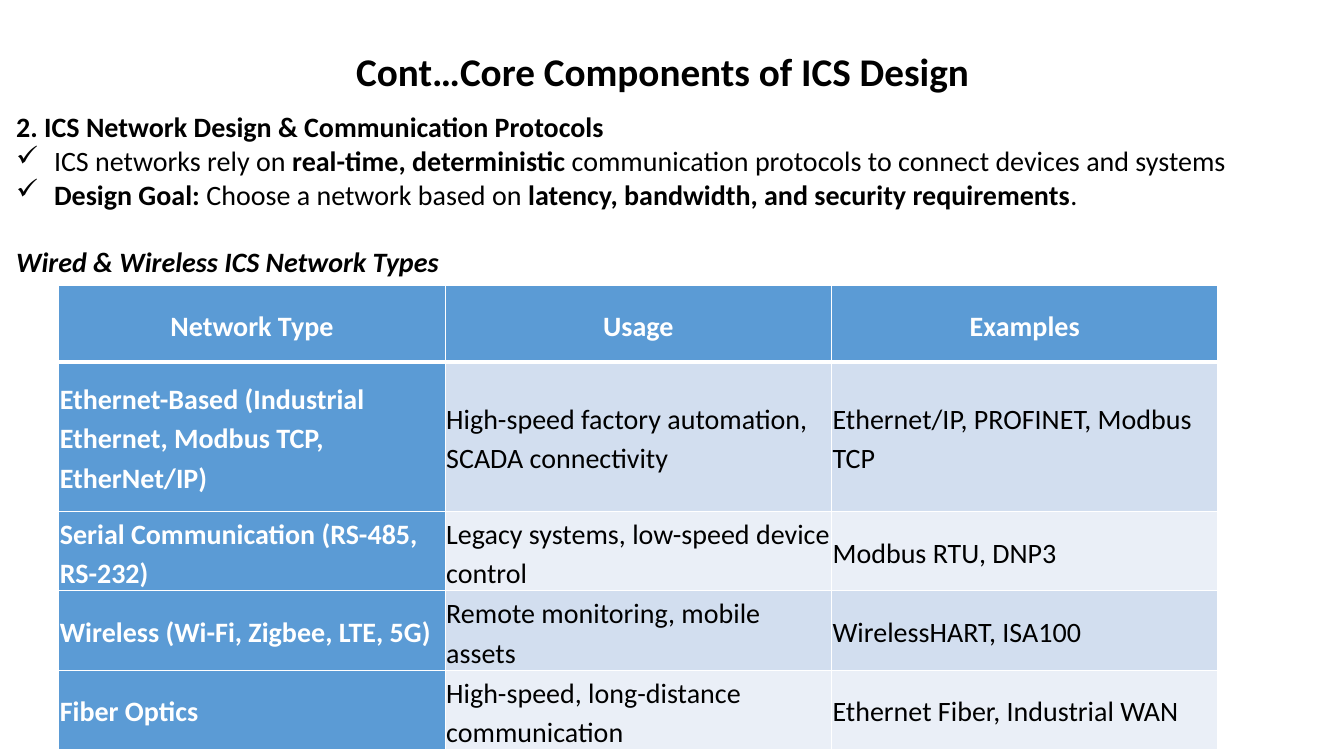
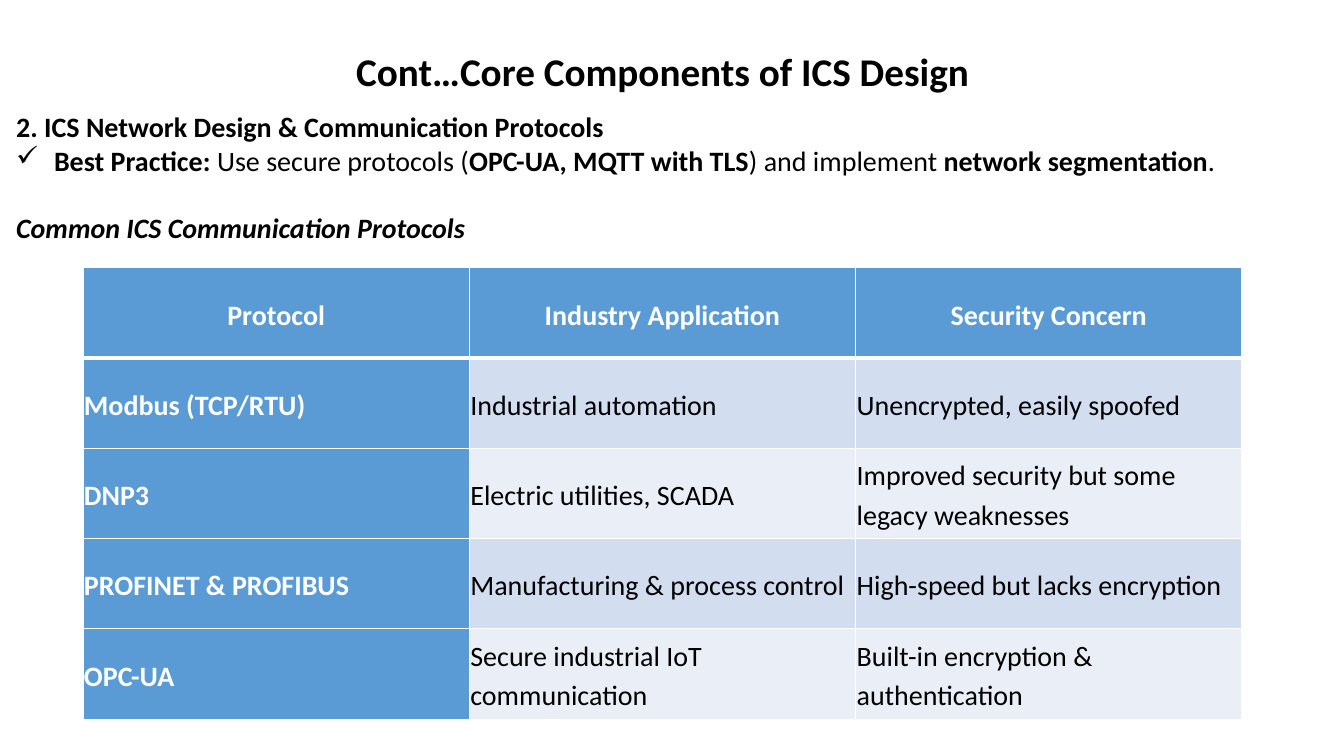
from dataclasses import dataclass
from typing import NamedTuple

from lxml.etree import SubElement
from pptx import Presentation
from pptx.dml.color import RGBColor
from pptx.enum.text import MSO_ANCHOR as Anchor
from pptx.enum.text import MSO_AUTO_SIZE as AutoSize
from pptx.enum.text import PP_ALIGN as Align
from pptx.oxml.ns import qn
from pptx.util import Emu, Pt

PX = 9525
FONT = "Calibri"
TITLE_SIZE = 28
TEXT_SIZE = 20
BLANK_LAYOUT = 6
BLACK = RGBColor(0x00, 0x00, 0x00)
WHITE = RGBColor(0xFF, 0xFF, 0xFF)
BLUE = RGBColor(0x5B, 0x9B, 0xD5)
BANDS = (RGBColor(0xEA, 0xEF, 0xF7), RGBColor(0xD2, 0xDE, 0xEF))

TITLE = "Cont…Core Components of ICS Design"
HEADING = "2. ICS Network Design & Communication Protocols"
COLUMN_WIDTH = 368
CELL_INSET = 1
BULLET_INDENT = 36
SUBHEADING_GAP = 24


class Box(NamedTuple):
    left: int
    top: int
    width: int
    height: int


class Span(NamedTuple):
    text: str
    bold: bool = False


@dataclass(frozen=True)
class Grid:
    left: int
    top: int
    row_heights: tuple[int, ...]
    rows: tuple[tuple[str, ...], ...]


@dataclass(frozen=True)
class Topic:
    body_height: int
    bullets: tuple[tuple[Span, ...], ...]
    subheading: str
    grid: Grid


TITLE_BOX = Box(151, 10, 960, 85)

TOPICS = (
    Topic(
        body_height=203,
        bullets=(
            (
                Span("ICS networks rely on "),
                Span("real-time, deterministic", True),
                Span(" communication protocols to connect devices and systems"),
            ),
            (
                Span("Design Goal:", True),
                Span(" Choose a network based on "),
                Span("latency, bandwidth, and security requirements", True),
                Span("."),
            ),
        ),
        subheading="Wired & Wireless ICS Network Types",
        grid=Grid(
            left=56,
            top=272,
            row_heights=(73, 142, 73, 73, 73),
            rows=(
                ("Network Type", "Usage", "Examples"),
                (
                    "Ethernet-Based (Industrial Ethernet, Modbus TCP, EtherNet/IP)",
                    "High-speed factory automation, SCADA connectivity",
                    "Ethernet/IP, PROFINET, Modbus TCP",
                ),
                (
                    "Serial Communication (RS-485, RS-232)",
                    "Legacy systems, low-speed device control",
                    "Modbus RTU, DNP3",
                ),
                (
                    "Wireless (Wi-Fi, Zigbee, LTE, 5G)",
                    "Remote monitoring, mobile assets",
                    "WirelessHART, ISA100",
                ),
                (
                    "Fiber Optics",
                    "High-speed, long-distance communication",
                    "Ethernet Fiber, Industrial WAN",
                ),
            ),
        ),
    ),
    Topic(
        body_height=139,
        bullets=(
            (
                Span("Best Practice:", True),
                Span(" Use secure protocols ("),
                Span("OPC-UA, MQTT with TLS", True),
                Span(") and implement "),
                Span("network segmentation", True),
                Span("."),
            ),
        ),
        subheading="Common ICS Communication Protocols",
        grid=Grid(
            left=79,
            top=255,
            row_heights=(86,) * 5,
            rows=(
                ("Protocol", "Industry Application", "Security Concern"),
                ("Modbus (TCP/RTU)", "Industrial automation", "Unencrypted, easily spoofed"),
                (
                    "DNP3",
                    "Electric utilities, SCADA",
                    "Improved security but some legacy weaknesses",
                ),
                (
                    "PROFINET & PROFIBUS",
                    "Manufacturing & process control",
                    "High-speed but lacks encryption",
                ),
                (
                    "OPC-UA",
                    "Secure industrial IoT communication",
                    "Built-in encryption & authentication",
                ),
            ),
        ),
    ),
)


def px(length: int) -> Emu:
    return Emu(length * PX)


def style_span(span, bold: bool, color: RGBColor = BLACK, size: int = TEXT_SIZE, italic: bool = False) -> None:
    font = span.font
    font.name = FONT
    font.size = Pt(size)
    font.bold = bold
    font.italic = italic
    font.color.rgb = color


def add_text_frame(page, box: Box):
    frame = page.shapes.add_textbox(*map(px, box)).text_frame
    frame.word_wrap = True
    return frame


def add_title(page) -> None:
    frame = add_text_frame(page, TITLE_BOX)
    frame.vertical_anchor = Anchor.BOTTOM
    frame.text = TITLE
    para = frame.paragraphs[0]
    para.alignment = Align.CENTER
    para.line_spacing = 0.9
    style_span(para.runs[0], True, size=TITLE_SIZE)


def add_check_bullet(para) -> None:
    properties = para._p.get_or_add_pPr()
    properties.set("marL", str(px(BULLET_INDENT)))
    properties.set("indent", str(-px(BULLET_INDENT)))
    SubElement(properties, qn("a:buChar"), char="✓")


def add_body(page, topic: Topic) -> None:
    frame = add_text_frame(page, Box(6, 100, 1235, topic.body_height))
    frame.auto_size = AutoSize.SHAPE_TO_FIT_TEXT
    frame.text = HEADING
    style_span(frame.paragraphs[0].runs[0], True)
    for bullet in topic.bullets:
        para = frame.add_paragraph()
        add_check_bullet(para)
        for part in bullet:
            span = para.add_run()
            span.text = part.text
            style_span(span, part.bold)
    para = frame.add_paragraph()
    para.text = topic.subheading
    para.space_before = Pt(SUBHEADING_GAP)
    style_span(para.runs[0], True, italic=True)


def add_borders(cell, row_index: int) -> None:
    properties = cell._tc.get_or_add_tcPr()
    widths = {
        "a:lnL": 1,
        "a:lnR": 1,
        "a:lnT": 3 if row_index == 1 else 1,
        "a:lnB": 3 if row_index == 0 else 1,
    }
    for tag, width in widths.items():
        line = SubElement(properties, qn(tag), w=str(Pt(width)))
        fill = SubElement(line, qn("a:solidFill"))
        SubElement(fill, qn("a:srgbClr"), val=str(WHITE))


def fill_cell(cell, text: str, row_index: int, column_index: int) -> None:
    is_header = row_index == 0
    is_label = is_header or column_index == 0
    add_borders(cell, row_index)
    cell.fill.solid()
    cell.fill.fore_color.rgb = BLUE if is_label else BANDS[row_index % 2]
    cell.vertical_anchor = Anchor.MIDDLE
    cell.margin_left = cell.margin_right = px(CELL_INSET)
    cell.margin_top = cell.margin_bottom = px(CELL_INSET)
    cell.text_frame.text = text
    para = cell.text_frame.paragraphs[0]
    para.alignment = Align.CENTER if is_header else Align.LEFT
    para.line_spacing = 1.15
    para.space_after = Pt(10)
    style_span(para.runs[0], is_label, WHITE if is_label else BLACK)


def add_grid(page, grid: Grid) -> None:
    column_count = len(grid.rows[0])
    box = Box(grid.left, grid.top, COLUMN_WIDTH * column_count, sum(grid.row_heights))
    table = page.shapes.add_table(len(grid.rows), column_count, *map(px, box)).table
    table.horz_banding = False
    table.first_row = False
    for column in table.columns:
        column.width = px(COLUMN_WIDTH)
    for row_index, (height, texts) in enumerate(zip(grid.row_heights, grid.rows)):
        table.rows[row_index].height = px(height)
        for column_index, text in enumerate(texts):
            fill_cell(table.cell(row_index, column_index), text, row_index, column_index)


def main() -> None:
    deck = Presentation()
    deck.slide_width = px(1280)
    deck.slide_height = px(720)
    for topic in TOPICS:
        page = deck.slides.add_slide(deck.slide_layouts[BLANK_LAYOUT])
        add_title(page)
        add_body(page, topic)
        add_grid(page, topic.grid)
    deck.save("out.pptx")


if __name__ == "__main__":
    main()
